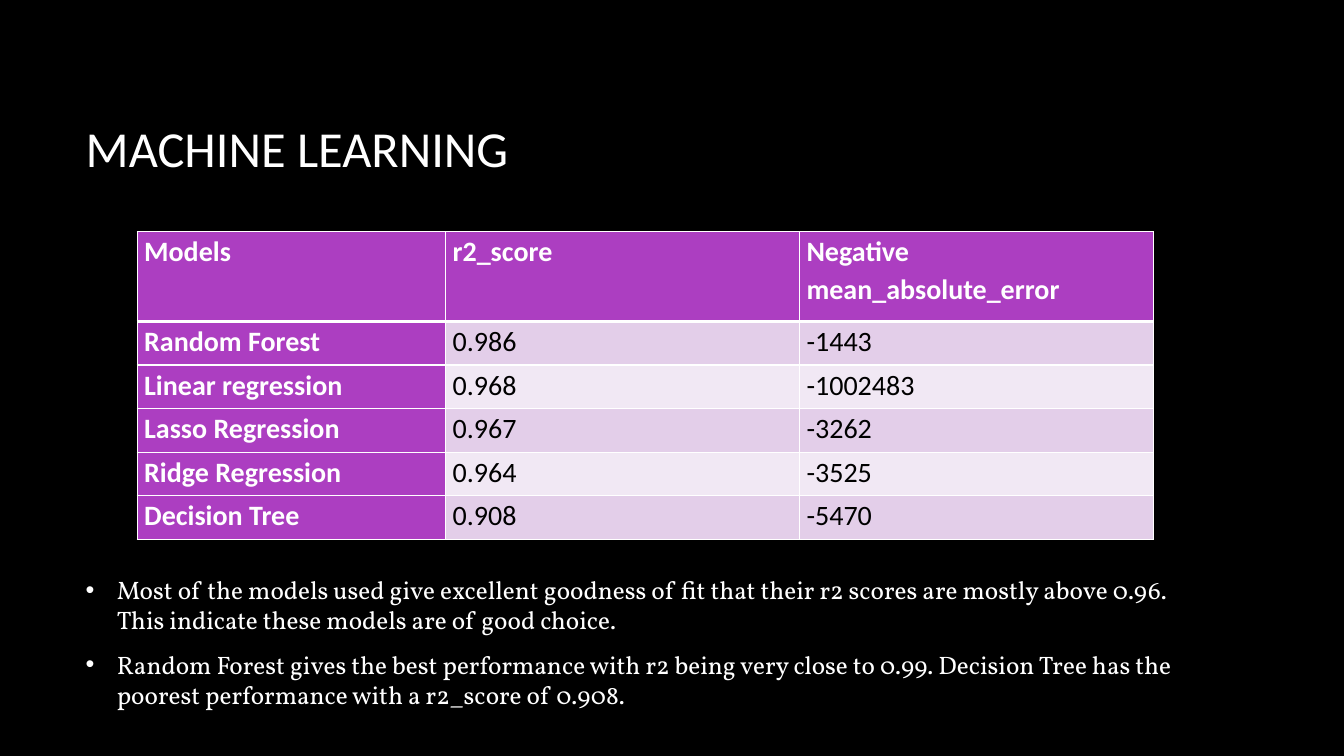
import pptx
import pptx.util
import pptx.dml.color
import pptx.enum.text
import pptx.oxml
import pptx.oxml.ns
from pptx.util import Inches

WHITE, BLACK, PURPLE = "FFFFFF", "000000", "AC3EC1"
BANDS = ["E3CEE9", "F1E8F4"]
COLUMN_WIDTHS = [3.06, 3.51, 3.51]
HEADER_HEIGHT, ROW_HEIGHT = 0.89, 0.432
SCORES = [
    ["Models", "r2_score", "Negative mean_absolute_error"],
    ["Random Forest", "0.986", "-1443"],
    ["Linear regression", "0.968", "-1002483"],
    ["Lasso Regression", "0.967", "-3262"],
    ["Ridge Regression", "0.964", "-3525"],
    ["Decision Tree", "0.908", "-5470"],
]
FINDINGS = [
    "Most of the models used give excellent goodness of fit that their r2 scores "
    "are mostly above 0.96. This indicate these models are of good choice.",
    "Random Forest gives the best performance with r2 being very close to 0.99. "
    "Decision Tree has the poorest performance with a r2_score of 0.908.",
]


def color(value):
    """Turn a hex string into a colour."""
    return pptx.dml.color.RGBColor.from_string(value)


def write(paragraph, text, size=18, font="Calibri", fill=WHITE, bold=False,
          line_spacing=None, space_after=None):
    """Add formatted text to a left-aligned paragraph."""
    paragraph.alignment = pptx.enum.text.PP_ALIGN.LEFT
    paragraph.line_spacing = line_spacing
    if space_after is not None:
        paragraph.space_after = pptx.util.Pt(space_after)
    run = paragraph.add_run()
    run.text = text
    run.font.size = pptx.util.Pt(size)
    run.font.name = font
    run.font.bold = bold
    run.font.color.rgb = color(fill)


def add_xml(parent, markup):
    """Append a DrawingML element to its parent."""
    namespace = pptx.oxml.ns.nsdecls("a")
    parent.append(pptx.oxml.parse_xml(markup.replace(" ", f" {namespace} ", 1)))


def add_borders(cell, widths):
    """Draw white cell borders, with widths in points by side."""
    properties = cell._tc.get_or_add_tcPr()
    for side, width in widths.items():
        add_xml(properties, f'<a:ln{side} w="{pptx.util.Pt(width)}"><a:solidFill>'
                f'<a:srgbClr val="{WHITE}"/></a:solidFill></a:ln{side}>')


def add_bullet(paragraph, indent):
    """Give a paragraph a white bullet and a hanging indent."""
    properties = paragraph._p.get_or_add_pPr()
    properties.set("marL", str(Inches(indent)))
    properties.set("indent", str(-Inches(indent)))
    add_xml(properties, f'<a:buClr ><a:srgbClr val="{WHITE}"/></a:buClr>')
    add_xml(properties, '<a:buFont typeface="Arial"/>')
    add_xml(properties, '<a:buChar char="•"/>')


def place_title(slide, left, top, width, height):
    """Move and fill the title placeholder."""
    title = slide.shapes.title
    title.left, title.top = Inches(left), Inches(top)
    title.width, title.height = Inches(width), Inches(height)
    frame = title.text_frame
    frame.auto_size = pptx.enum.text.MSO_AUTO_SIZE.NONE
    frame.vertical_anchor = pptx.enum.text.MSO_ANCHOR.MIDDLE
    write(frame.paragraphs[0], "MACHINE LEARNING", size=36)


def format_cell(cell, text, row, column):
    """Fill one cell according to its place in the table."""
    heading = row == 0 or column == 0
    add_borders(cell, {"L": 1, "R": 1, "T": 3 if row == 1 else 1,
                       "B": 3 if row == 0 else 1})
    cell.fill.solid()
    cell.fill.fore_color.rgb = color(PURPLE if heading else BANDS[(row - 1) % 2])
    cell.margin_left = cell.margin_right = Inches(0.07)
    cell.margin_top = cell.margin_bottom = 0
    write(cell.text_frame.paragraphs[0], text, size=20, bold=heading,
          fill=WHITE if heading else BLACK, line_spacing=1.1)


def add_score_table(slide, left, top, width, height):
    """Add the table of model scores."""
    table = slide.shapes.add_table(
        len(SCORES), len(COLUMN_WIDTHS), Inches(left), Inches(top),
        Inches(width), Inches(height)).table
    table.first_col = True
    for column, column_width in zip(table.columns, COLUMN_WIDTHS):
        column.width = Inches(column_width)
    for row, values in enumerate(SCORES):
        table.rows[row].height = Inches(ROW_HEIGHT if row else HEADER_HEIGHT)
        for column, text in enumerate(values):
            format_cell(table.cell(row, column), text, row, column)


def add_findings(slide, left, top, width, height):
    """Add the bulleted findings."""
    frame = slide.shapes.add_textbox(
        Inches(left), Inches(top), Inches(width), Inches(height)).text_frame
    frame.word_wrap = True
    frame.vertical_anchor = pptx.enum.text.MSO_ANCHOR.MIDDLE
    frame.margin_bottom = Inches(0.46)
    for index, text in enumerate(FINDINGS):
        paragraph = frame.add_paragraph() if index else frame.paragraphs[0]
        write(paragraph, text, font="Vollkorn", space_after=10)
        add_bullet(paragraph, 0.31)


def main():
    """Build and save the slide."""
    presentation = pptx.Presentation()
    presentation.slide_width = Inches(13.33)
    presentation.slide_height = Inches(7.5)
    slide = presentation.slides.add_slide(presentation.slide_layouts[5])
    slide.background.fill.solid()
    slide.background.fill.fore_color.rgb = color(BLACK)
    place_title(slide, 0.75, 0.67, 11.08, 1.59)
    add_score_table(slide, 1.36, 2.3, 10.08, 3.05)
    add_findings(slide, 0.75, 5.81, 11.08, 1.53)
    presentation.save("out.pptx")


if __name__ == "__main__":
    main()
